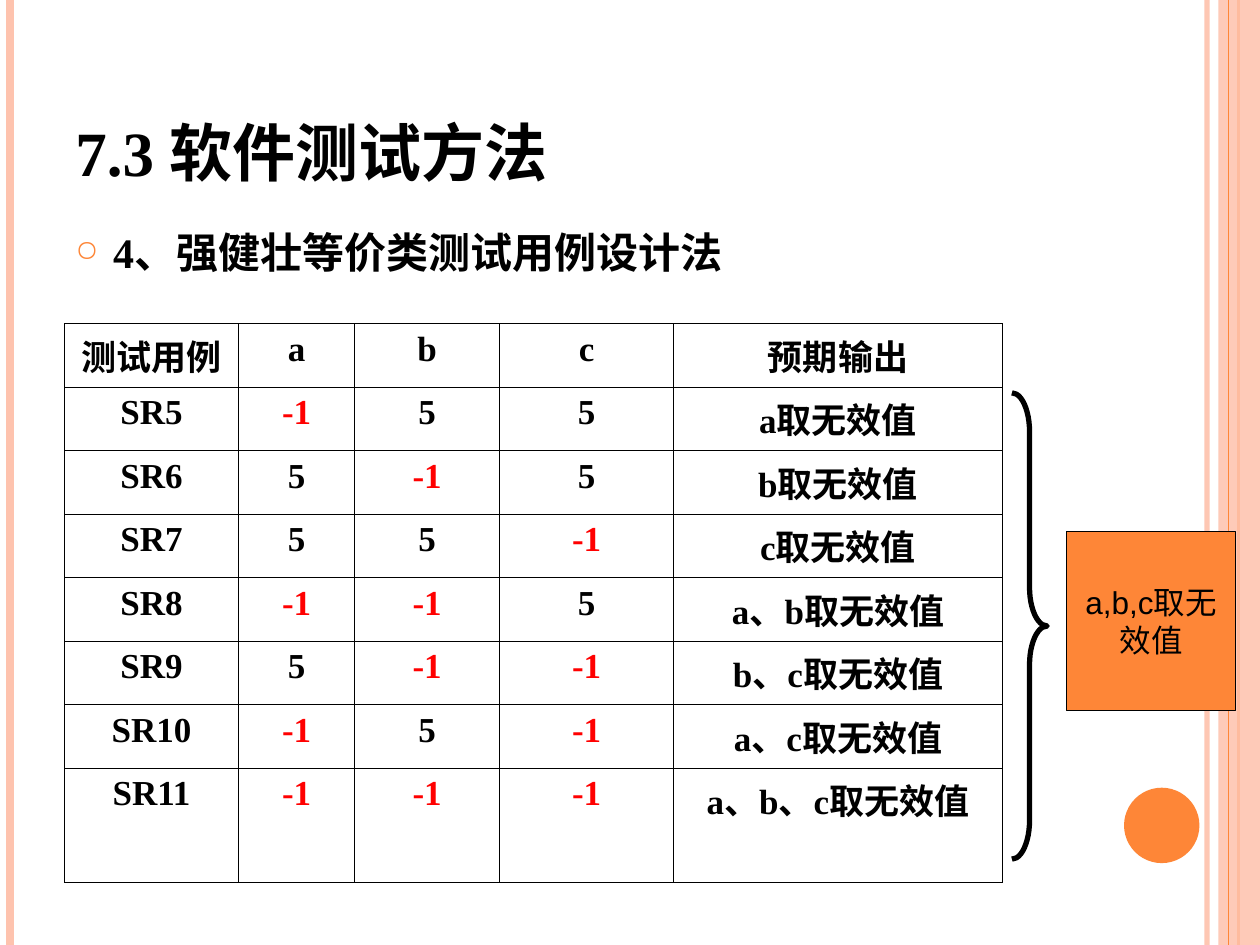
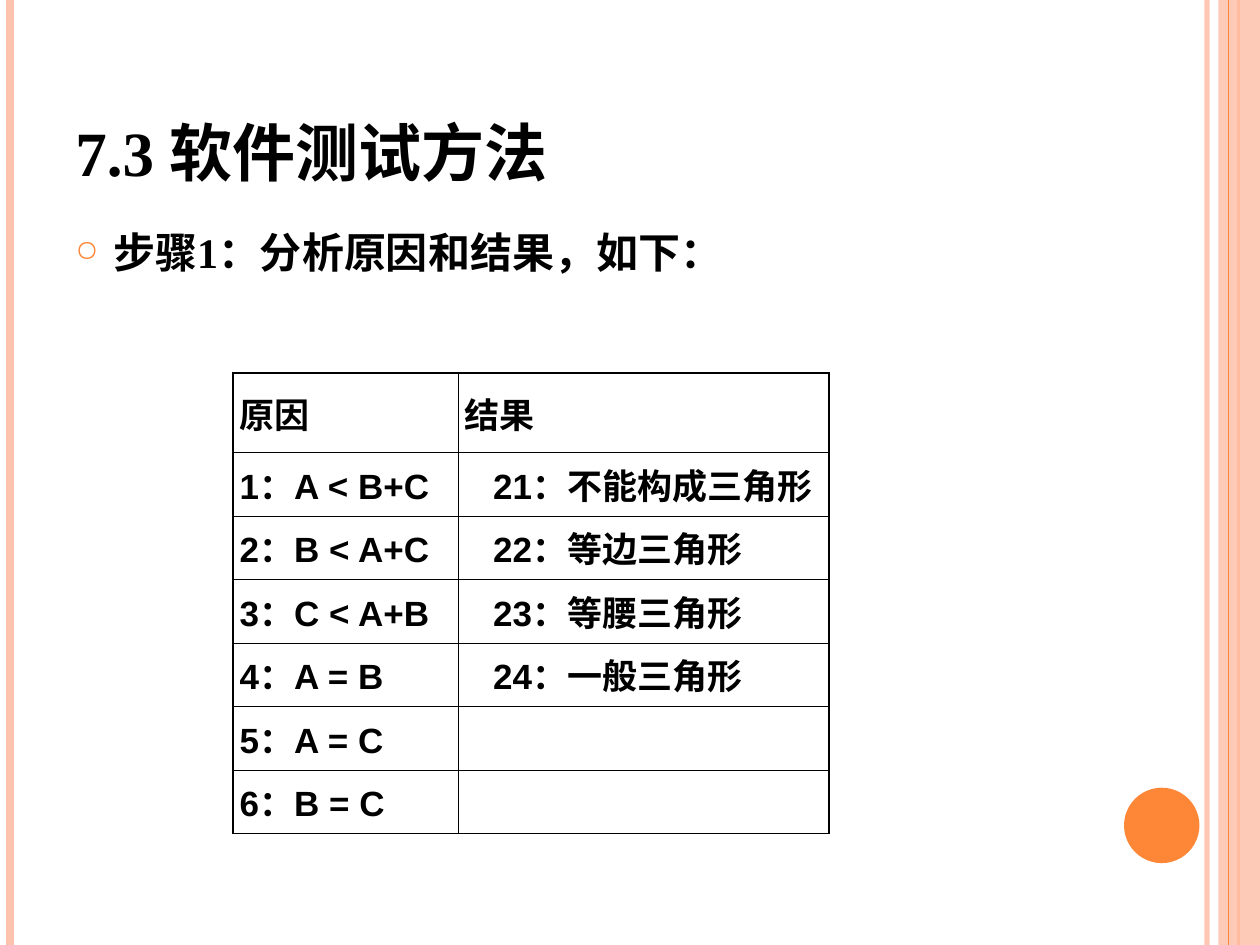
from dataclasses import dataclass

from lxml.etree import SubElement
from pptx import Presentation
from pptx.dml.color import RGBColor
from pptx.enum.shapes import MSO_CONNECTOR, MSO_SHAPE
from pptx.enum.text import MSO_ANCHOR, PP_ALIGN
from pptx.oxml.ns import qn
from pptx.util import Cm, Pt


@dataclass(frozen=True)
class Theme:
    black: str = "000000"
    white: str = "FFFFFF"
    red: str = "FF0000"
    orange: str = "FE8637"
    peach: str = "FEC3AE"
    serif: str = "Times New Roman"
    sans: str = "Arial"
    title: int = 36
    body: int = 24
    cell: int = 20
    note: int = 18
    thin: float = 0.45
    thick: float = 1.08


T = Theme()
WIDE, HIGH = 25.4, 19.05
HEAD = "7.3 软件测试方法"
BAD = "-1"

CASES = [
    ["测试用例", "a", "b", "c", "预期输出"],
    ["SR5", BAD, "5", "5", "a取无效值"],
    ["SR6", "5", BAD, "5", "b取无效值"],
    ["SR7", "5", "5", BAD, "c取无效值"],
    ["SR8", BAD, BAD, "5", "a、b取无效值"],
    ["SR9", "5", BAD, BAD, "b、c取无效值"],
    ["SR10", BAD, "5", BAD, "a、c取无效值"],
    ["SR11", BAD, BAD, BAD, "a、b、c取无效值"],
]
CAUSES = [
    ["原因", "结果"],
    ["1：A < B+C", "21：不能构成三角形"],
    ["2：B < A+C", "22：等边三角形"],
    ["3：C < A+B", "23：等腰三角形"],
    ["4：A = B", "24：一般三角形"],
    ["5：A = C", ""],
    ["6：B = C", ""],
]


def style(para, size, face, color=T.black, bold=True):
    font = para.font
    font.size, font.name, font.bold = Pt(size), face, bold
    font.color.rgb = RGBColor.from_string(color)


def fade(part, alpha):
    """Make the solid colour inside part partly clear; alpha is in percent."""
    color = next(part.iter(qn("a:srgbClr")))
    SubElement(color, qn("a:alpha"), val=str(alpha * 1000))


def stripe(slide, x, color, width, alpha=100):
    """Draw a vertical line over the full slide height."""
    line = slide.shapes.add_connector(
        MSO_CONNECTOR.STRAIGHT, Cm(x), 0, Cm(x), Cm(HIGH))
    line.line.color.rgb = RGBColor.from_string(color)
    line.line.width = Pt(width)
    if alpha < 100:
        fade(line.line._ln, alpha)
    SubElement(line._element.spPr, qn("a:effectLst"))


def shape(slide, kind, box, fill=None, edge=None):
    item = slide.shapes.add_shape(kind, *map(Cm, box))
    item.shadow.inherit = False
    if fill:
        item.fill.solid()
        item.fill.fore_color.rgb = RGBColor.from_string(fill)
    else:
        item.fill.background()
    if edge:
        item.line.color.rgb = RGBColor.from_string(T.black)
        item.line.width = Pt(edge)
    else:
        item.line.fill.background()
    return item


def frame(slide):
    """Draw the side bands and the dot that every slide carries."""
    stripe(slide, 24.33, T.peach, 3, 93)
    stripe(slide, 0.21, T.peach, 4.5)
    stripe(slide, 24.97, T.orange, 1.5)
    band = shape(slide, MSO_SHAPE.RECTANGLE, (24.56, 0, 0.84, HIGH), T.peach)
    fade(band._element.spPr, 87)
    stripe(slide, 24.77, T.orange, 0.75)
    shape(slide, MSO_SHAPE.OVAL, (22.66, 15.88, 1.52, 1.52), T.orange)


def label(slide, box, text, anchor):
    frame = slide.shapes.add_textbox(*map(Cm, box)).text_frame
    frame.word_wrap = True
    frame.vertical_anchor = anchor
    para = frame.paragraphs[0]
    para.text = text
    return para


def bullet(para):
    props = para._p.get_or_add_pPr()
    props.set("marL", str(Cm(0.76)))
    props.set("indent", str(-Cm(0.76)))
    tint = SubElement(props, qn("a:buClr"))
    SubElement(tint, qn("a:srgbClr"), val=T.orange)
    SubElement(props, qn("a:buSzPct"), val="70000")
    SubElement(props, qn("a:buChar"), char="○")


def start(deck, text):
    """Add a slide with the shared frame and title, and one bullet line."""
    slide = deck.slides.add_slide(deck.slide_layouts[6])
    frame(slide)
    title = label(slide, (1.27, 0.76, 20.75, 3.18), HEAD, MSO_ANCHOR.BOTTOM)
    style(title, T.title, T.serif)
    line = label(slide, (1.27, 4.45, 20.75, 13.54), text, MSO_ANCHOR.TOP)
    bullet(line)
    style(line, T.body, T.serif)
    return slide


def border(cell, widths):
    props = cell._tc.get_or_add_tcPr()
    for side, width in zip("LRTB", widths):
        line = SubElement(props, qn(f"a:ln{side}"), w=str(Pt(width)))
        fill = SubElement(line, qn("a:solidFill"))
        SubElement(fill, qn("a:srgbClr"), val=T.black)


def grid(slide, spot, cols, rows, data, edge):
    """Add a ruled table, with outer lines of width edge; yield its cells."""
    size = sum(cols), sum(rows)
    table = slide.shapes.add_table(
        len(rows), len(cols), *map(Cm, spot + size)).table
    table.first_row = table.horz_banding = False
    for col, width in zip(table.columns, cols):
        col.width = Cm(width)
    for row, height in zip(table.rows, rows):
        row.height = Cm(height)
    for r, line in enumerate(data):
        for c, text in enumerate(line):
            cell = table.cell(r, c)
            cell.text = text
            outer = c == 0, c == len(cols) - 1, r == 0, r == len(rows) - 1
            border(cell, [edge if out else T.thin for out in outer])
            yield r, c, cell


def cases(deck):
    slide = start(deck, "4、强健壮等价类测试用例设计法")
    cols = [3.51, 2.34, 2.92, 3.51, 6.63]
    rows = [1.28] * 7 + [2.3]
    for _, _, cell in grid(slide, (1.3, 6.52), cols, rows, CASES, T.thin):
        cell.fill.background()
        para = cell.text_frame.paragraphs[0]
        para.alignment = PP_ALIGN.CENTER
        style(para, T.cell, T.serif, T.red if cell.text == BAD else T.black)

    brace = shape(slide, MSO_SHAPE.RIGHT_BRACE, (20.4, 7.92, 0.71, 9.4), edge=3)
    brace.adjustments[0] = 1.1
    note = shape(slide, MSO_SHAPE.RECTANGLE, (21.5, 10.72, 3.41, 3.61),
                 T.orange, 0.75).text_frame
    note.word_wrap = True
    note.vertical_anchor = MSO_ANCHOR.MIDDLE
    para = note.paragraphs[0]
    para.text = "a,b,c取无效值"
    para.alignment = PP_ALIGN.CENTER
    style(para, T.note, T.sans, bold=False)


def causes(deck):
    slide = start(deck, "步骤1：分析原因和结果，如下：")
    cols = [4.53, 7.48]
    rows = [1.6] + [1.28] * 6
    for r, c, cell in grid(slide, (4.7, 7.52), cols, rows, CAUSES, T.thick):
        cell.fill.solid()
        cell.fill.fore_color.rgb = RGBColor.from_string(T.white)
        cell.vertical_anchor = MSO_ANCHOR.MIDDLE
        cell.margin_left = Cm(0.71 if r and c else 0.13)
        cell.margin_right = Cm(0.13)
        style(cell.text_frame.paragraphs[0], T.cell, T.sans)


def main():
    deck = Presentation()
    deck.slide_width, deck.slide_height = Cm(WIDE), Cm(HIGH)
    cases(deck)
    causes(deck)
    deck.save("out.pptx")


if __name__ == "__main__":
    main()
